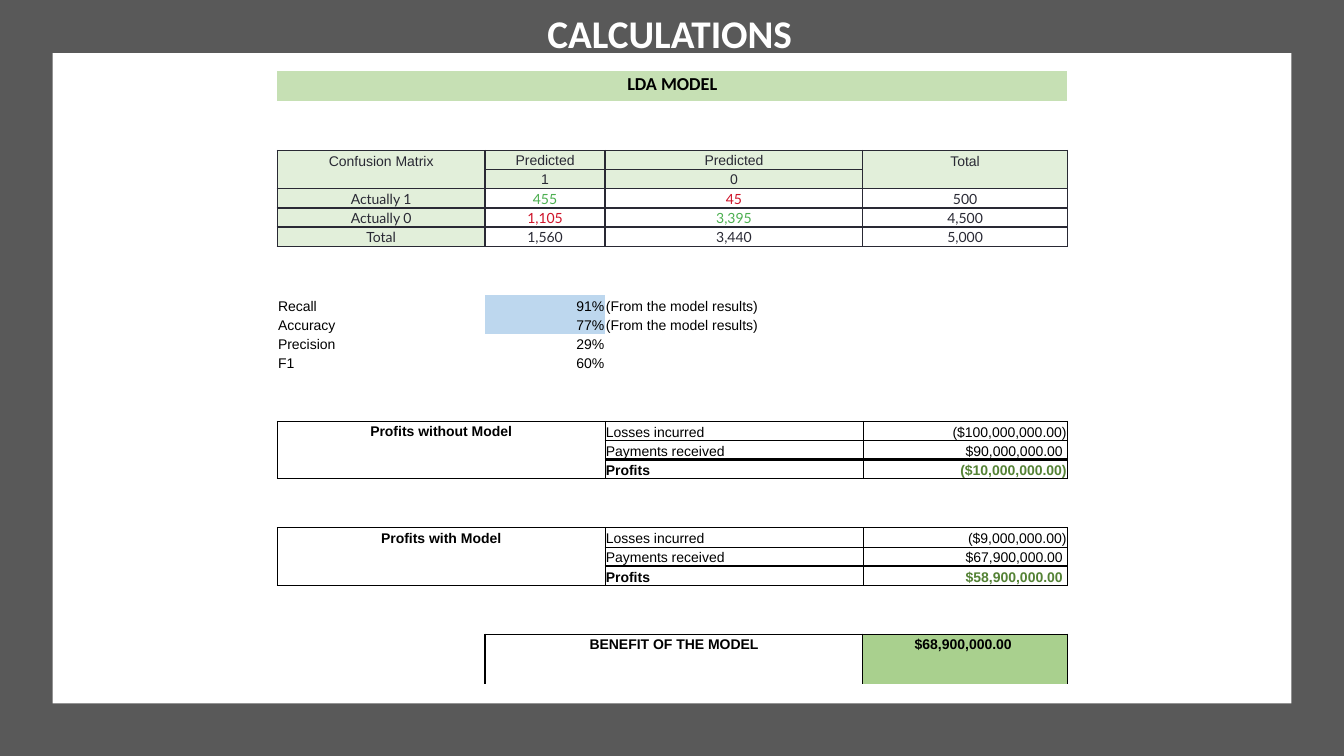
from lxml.etree import SubElement
from pptx import Presentation
from pptx.dml.color import RGBColor
from pptx.enum.shapes import MSO_SHAPE
from pptx.enum.text import MSO_ANCHOR, PP_ALIGN
from pptx.oxml.ns import qn
from pptx.util import Pt

INK, BLACK, GREEN, RED, PROFIT = "292934", "000000", "4CAF50", "CE1228", "548235"
PALE = "E2EFDA"
COLS = [148.5, 85.7, 184.2, 146]
BANNER, GAP, LINE = 21.9, 17.6, 13.68
GAP_ROWS = {1, 2, 8, 9, 14, 15, 19, 20, 24, 25, 26, 27}
NO_STYLE = "{2D5ABB26-0587-4C30-8999-92F81FD0307C}"
LEFT, CENTER, RIGHT = PP_ALIGN.LEFT, PP_ALIGN.CENTER, PP_ALIGN.RIGHT
ROOMY = dict(margin_left=4.3, margin_right=4.3, margin_top=2.15, margin_bottom=2.15)
TIGHT = dict(margin_left=0.6, margin_right=0.6, margin_top=0.6, margin_bottom=0)


def rgb(value):
    return RGBColor.from_string(value)


def write(p, text, size=10, name="Arial", color=BLACK, bold=False):
    r = p.add_run()
    r.text = text
    for key, value in dict(size=Pt(size), name=name, bold=bold).items():
        setattr(r.font, key, value)
    r.font.color.rgb = rgb(color)


def rect(s, x, y, w, h, fill):
    sp = s.shapes.add_shape(MSO_SHAPE.RECTANGLE, Pt(x), Pt(y), Pt(w), Pt(h))
    sp.shadow.inherit = False
    sp.fill.solid()
    sp.fill.fore_color.rgb = rgb(fill)
    sp.line.fill.background()


def draw_borders(cell, borders):
    """Draw a {side: (colour, width)} dict, whose sides are L, R, T or B."""
    tcPr = cell._tc.get_or_add_tcPr()
    for side in "LRTB":
        if side in borders:
            color, width = borders[side]
            ln = SubElement(tcPr, qn(f"a:ln{side}"), w=str(Pt(width)))
            fill = SubElement(ln, qn("a:solidFill"))
            SubElement(fill, qn("a:srgbClr"), val=color)


def put(table, row, col, text, span=(1, 1), align=CENTER, anchor=MSO_ANCHOR.MIDDLE,
        margins=TIGHT, fill=None, edge=None, sides="LRTB", thick="", **font):
    """Fill one cell; edge is (colour, width), and thick names the 2 pt sides."""
    rows, cols = span
    cell = table.cell(row, col)
    if edge:
        weights = {k: (edge[0], 2) if k in thick else edge for k in sides}
        for i in range(rows):
            for j in range(cols):
                outer = {"L": j == 0, "R": j == cols - 1, "T": i == 0, "B": i == rows - 1}
                draw_borders(table.cell(row + i, col + j),
                             {k: v for k, v in weights.items() if outer[k]})
    if span != (1, 1):
        cell.merge(table.cell(row + rows - 1, col + cols - 1))
    for key, value in margins.items():
        setattr(cell, key, Pt(value))
    cell.vertical_anchor = anchor
    if fill:
        cell.fill.solid()
        cell.fill.fore_color.rgb = rgb(fill)
    p = cell.text_frame.paragraphs[0]
    p.alignment = align
    write(p, text, **font)


def blank_table(s, x, y):
    heights = [BANNER] + [GAP if i in GAP_ROWS else LINE for i in range(1, 28)]
    frame = s.shapes.add_table(len(heights), len(COLS), Pt(x), Pt(y),
                               Pt(sum(COLS)), Pt(sum(heights)))
    table = frame.table
    table.first_row = table.horz_banding = False
    table._tbl.tblPr.find(qn("a:tableStyleId")).text = NO_STYLE
    for column, width in zip(table.columns, COLS):
        column.width = Pt(width)
    for row, height in zip(table.rows, heights):
        row.height = Pt(height)
    for cell in table.iter_cells():
        for key, value in TIGHT.items():
            setattr(cell, key, Pt(value))
        cell.text_frame.paragraphs[0]._p.get_or_add_endParaRPr().set("sz", "1000")
    return table


def confusion_matrix(table, top):
    edge = (INK, 1)
    head = dict(fill=PALE, edge=edge, color=INK)
    for col, text in ((0, "Confusion Matrix"), (3, "Total")):
        put(table, top, col, text, span=(2, 1), anchor=MSO_ANCHOR.TOP, margins=ROOMY, **head)
    for col, label in ((1, "1"), (2, "0")):
        put(table, top, col, "Predicted", sides="LRT", **head)
        put(table, top + 1, col, label, sides="LRB", **head)
    rows = [("Actually 1", "455", "45", "500"),
            ("Actually 0", "1,105", "3,395", "4,500"),
            ("Total", "1,560", "3,440", "5,000")]
    colors = {(0, 1): GREEN, (0, 2): RED, (1, 1): RED, (1, 2): GREEN}
    for i, row in enumerate(rows):
        for j, text in enumerate(row):
            put(table, top + 2 + i, j, text, fill=None if j else PALE, edge=edge,
                name="Lato", color=colors.get((i, j), INK))


def scores(table, top):
    note = "(From the model results)"
    rows = [("Recall", "91%", note), ("Accuracy", "77%", note),
            ("Precision", "29%", None), ("F1", "60%", None)]
    for row, (name, value, remark) in enumerate(rows, top):
        put(table, row, 0, name, align=LEFT, anchor=MSO_ANCHOR.BOTTOM)
        put(table, row, 1, value, align=RIGHT, anchor=MSO_ANCHOR.BOTTOM,
            fill="BDD7EE" if remark else None)
        if remark:
            put(table, row, 2, remark, align=LEFT, anchor=MSO_ANCHOR.BOTTOM)


def profits(table, top, title, amounts):
    edge = (BLACK, 0.5)
    put(table, top, 0, title, span=(3, 2), anchor=MSO_ANCHOR.TOP, margins=ROOMY,
        edge=edge, bold=True)
    labels = ("Losses incurred", "Payments received", "Profits")
    for i, (label, amount, thick) in enumerate(zip(labels, amounts, ("", "B", "T"))):
        total = label == "Profits"
        style = dict(anchor=MSO_ANCHOR.BOTTOM, edge=edge, thick=thick, bold=total)
        put(table, top + i, 2, label, align=LEFT, **style)
        put(table, top + i, 3, amount, align=RIGHT, color=PROFIT if total else BLACK, **style)


def benefit(table, top):
    style = dict(anchor=MSO_ANCHOR.TOP, margins=ROOMY, edge=(BLACK, 1), bold=True)
    put(table, top, 1, "BENEFIT OF THE MODEL", span=(2, 2), **style)
    put(table, top, 3, "$68,900,000.00 ", span=(2, 1), fill="A9D08E", **style)


def heading(s, x, y, w, h):
    tf = s.shapes.add_textbox(Pt(x), Pt(y), Pt(w), Pt(h)).text_frame
    tf.word_wrap = False
    write(tf.paragraphs[0], "CALCULATIONS", size=28, name="Calibri", color="FFFFFF", bold=True)


def calculations_slide(prs):
    s = prs.slides.add_slide(prs.slide_layouts[6])
    rect(s, 0, 0, 960, 540, "595959")
    rect(s, 37.5, 38, 885, 464.5, "FFFFFF")
    table = blank_table(s, 198, 50.5)
    put(table, 0, 0, "LDA MODEL", span=(1, 4), anchor=MSO_ANCHOR.TOP, margins=ROOMY,
        fill="C6E0B4", size=13, name="Calibri", bold=True)
    confusion_matrix(table, 3)
    scores(table, 10)
    profits(table, 16, "Profits without Model",
            ("($100,000,000.00)", "$90,000,000.00 ", "($10,000,000.00)"))
    profits(table, 21, "Profits with Model",
            ("($9,000,000.00)", "$67,900,000.00 ", "$58,900,000.00 "))
    benefit(table, 26)
    heading(s, 384, 3, 191.5, 41)


def main():
    prs = Presentation()
    prs.slide_width, prs.slide_height = Pt(960), Pt(540)
    calculations_slide(prs)
    prs.save("out.pptx")


if __name__ == "__main__":
    main()
